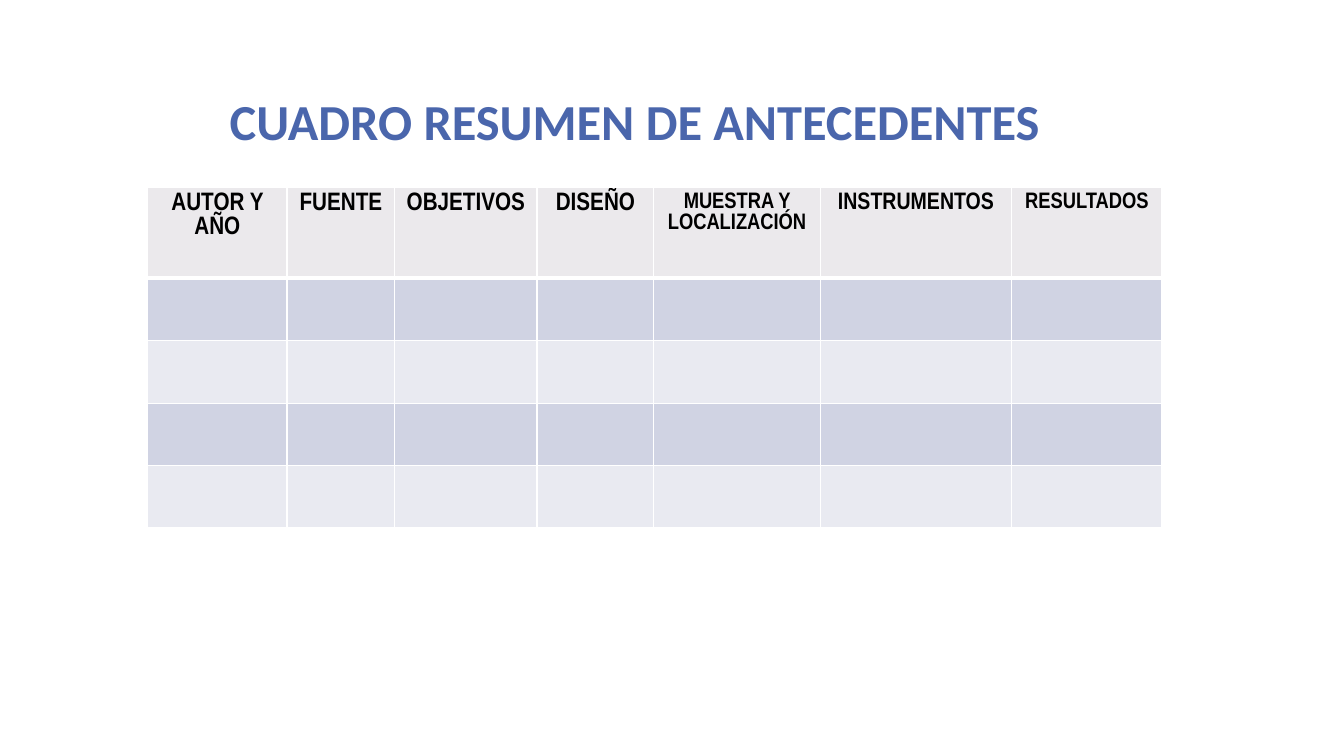
from dataclasses import dataclass

from lxml.etree import SubElement
from pptx import Presentation
from pptx.dml.color import RGBColor as RGB
from pptx.enum.text import MSO_ANCHOR as Anchor, PP_ALIGN as Align
from pptx.oxml.ns import qn
from pptx.util import Inches, Pt


@dataclass(frozen=True)
class Theme:
    title_font: str = "Calibri"
    table_font: str = "Arial Narrow"
    title_size: int = 36
    title: str = "4A66AC"
    text: str = "000000"
    header: str = "EBE9EC"
    bands: tuple = ("D0D3E3", "E9EAF1")
    border: str = "FFFFFF"
    thin: int = 1
    thick: int = 3


THEME = Theme()
WIDTH, HEIGHT = 13.33, 7.5

# Heading, type size, column width
COLUMNS = [
    ("AUTOR Y AÑO", 18, 1.38),
    ("FUENTE", 18, 1.07),
    ("OBJETIVOS", 18, 1.41),
    ("DISEÑO", 18, 1.16),
    ("MUESTRA Y LOCALIZACIÓN", 16, 1.65),
    ("INSTRUMENTOS", 17, 1.9),
    ("RESULTADOS", 16, 1.49),
]
HEADER_HEIGHT, ROW_HEIGHT, BODY_ROWS = 0.9, 0.62, 4


def style_font(font, name, size, color):
    font.name, font.size, font.bold = name, Pt(size), True
    font.color.rgb = RGB.from_string(color)


def add_title(slide, text, left, top, width, height):
    tb = slide.shapes.add_textbox(*map(Inches, (left, top, width, height)))
    tf = tb.text_frame
    tf.word_wrap = True
    tf.vertical_anchor = Anchor.BOTTOM
    tf.text = text
    p = tf.paragraphs[0]
    p.line_spacing = 0.8
    style_font(p.runs[0].font, THEME.title_font, THEME.title_size, THEME.title)


def set_borders(cell, top, bottom):
    widths = {"L": THEME.thin, "R": THEME.thin, "T": top, "B": bottom}
    tc_pr = cell._tc.get_or_add_tcPr()
    for side, width in widths.items():
        ln = SubElement(tc_pr, qn(f"a:ln{side}"), w=str(Pt(width)))
        fill = SubElement(ln, qn("a:solidFill"))
        SubElement(fill, qn("a:srgbClr"), val=THEME.border)


def style_cell(cell, color, top, bottom):
    set_borders(cell, top, bottom)
    cell.fill.solid()
    cell.fill.fore_color.rgb = RGB.from_string(color)


def add_summary_table(slide, left, top):
    width = sum(w for _, _, w in COLUMNS)
    height = HEADER_HEIGHT + BODY_ROWS * ROW_HEIGHT
    table = slide.shapes.add_table(
        BODY_ROWS + 1, len(COLUMNS), *map(Inches, (left, top, width, height))
    ).table
    for i, row in enumerate(table.rows):
        row.height = Inches(ROW_HEIGHT if i else HEADER_HEIGHT)

    for c, (heading, size, col_width) in enumerate(COLUMNS):
        table.columns[c].width = Inches(col_width)
        # Header cell
        cell = table.cell(0, c)
        style_cell(cell, THEME.header, THEME.thin, THEME.thick)
        cell.text = heading
        p = cell.text_frame.paragraphs[0]
        p.alignment = Align.CENTER
        style_font(p.runs[0].font, THEME.table_font, size, THEME.text)
        # Empty banded cells
        for r in range(1, BODY_ROWS + 1):
            rule = THEME.thick if r == 1 else THEME.thin
            band = THEME.bands[(r - 1) % len(THEME.bands)]
            style_cell(table.cell(r, c), band, rule, THEME.thin)


def main():
    prs = Presentation()
    prs.slide_width, prs.slide_height = Inches(WIDTH), Inches(HEIGHT)
    slide = prs.slides.add_slide(prs.slide_layouts[6])
    add_title(slide, "CUADRO RESUMEN DE ANTECEDENTES", 2.18, 0.29, 9, 1.25)
    add_summary_table(slide, 0.11 * WIDTH, 0.248 * HEIGHT)
    prs.save("out.pptx")


if __name__ == "__main__":
    main()
